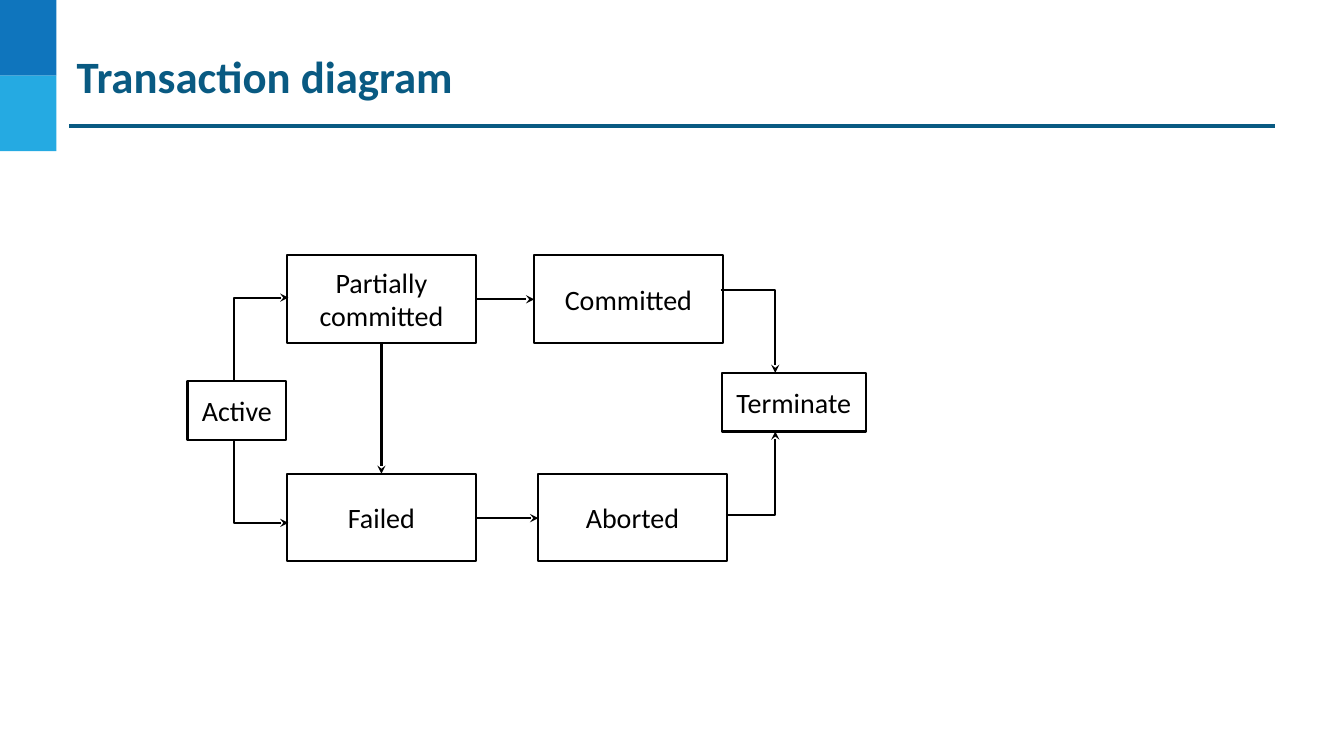
from dataclasses import dataclass

from lxml import etree
from pptx import Presentation
from pptx.dml.color import RGBColor
from pptx.enum.shapes import MSO_CONNECTOR, MSO_SHAPE
from pptx.enum.text import MSO_ANCHOR, PP_ALIGN
from pptx.oxml.ns import qn
from pptx.util import Pt

RECTANGLE = MSO_SHAPE.RECTANGLE
STRAIGHT = MSO_CONNECTOR.STRAIGHT
CENTER = PP_ALIGN.CENTER
LEFT = PP_ALIGN.LEFT
MIDDLE = MSO_ANCHOR.MIDDLE
TITLE_ONLY = 5


@dataclass(frozen=True)
class Theme:
    font: str = "Calibri"
    title_size: int = 32
    state_size: int = 20
    title: RGBColor = RGBColor(0x09, 0x5A, 0x82)
    dark_band: RGBColor = RGBColor(0x0F, 0x75, 0xBD)
    light_band: RGBColor = RGBColor(0x25, 0xAA, 0xE2)
    ink: RGBColor = RGBColor(0, 0, 0)
    paper: RGBColor = RGBColor(0xFF, 0xFF, 0xFF)
    rule_width: float = 2.25
    diagram_width: float = 1.5


THEME = Theme()

STATE_WIDTH, STATE_HEIGHT = 134.6, 62.6
SMALL_HEIGHT = 41.8
TOP_ROW, BOTTOM_ROW = 182.2, 338.4
FIRST_COLUMN = 205.2
COMMITTED_LEFT, ABORTED_LEFT = 381.6, 384.5
ACTIVE_TOP, TERMINATE_TOP = 272.2, 266.4
ACTIVE_AXIS, TERMINATE_AXIS = 167, 553.8

STATES = [
    ("Partially committed", FIRST_COLUMN, TOP_ROW, STATE_WIDTH, STATE_HEIGHT),
    ("Committed", COMMITTED_LEFT, TOP_ROW, STATE_WIDTH, STATE_HEIGHT),
    ("Failed", FIRST_COLUMN, BOTTOM_ROW, STATE_WIDTH, STATE_HEIGHT),
    ("Aborted", ABORTED_LEFT, BOTTOM_ROW, STATE_WIDTH, STATE_HEIGHT),
    ("Active", 133.9, ACTIVE_TOP, 70.6, SMALL_HEIGHT),
    ("Terminate", 515.5, TERMINATE_TOP, 103, SMALL_HEIGHT),
]

FIRST_RIGHT = FIRST_COLUMN + STATE_WIDTH
FIRST_AXIS = FIRST_COLUMN + STATE_WIDTH / 2

STRAIGHT_ARROWS = [
    ((FIRST_RIGHT, 213.8), (COMMITTED_LEFT, 213.8)),
    ((FIRST_RIGHT, 370.1), (ABORTED_LEFT, 370.1)),
    ((FIRST_AXIS, TOP_ROW + STATE_HEIGHT), (FIRST_AXIS, BOTTOM_ROW)),
]

BENT_ARROWS = [
    ((ACTIVE_AXIS, ACTIVE_TOP), (ACTIVE_AXIS, 212.6), (206, 212.6)),
    ((ACTIVE_AXIS, ACTIVE_TOP + SMALL_HEIGHT), (ACTIVE_AXIS, 373.5), (206, 373.5)),
    ((514.8, 207.2), (TERMINATE_AXIS, 207.2), (TERMINATE_AXIS, TERMINATE_TOP)),
    ((518.4, 367.9), (TERMINATE_AXIS, 367.9),
     (TERMINATE_AXIS, TERMINATE_TOP + SMALL_HEIGHT)),
]


def set_margins(frame, margin):
    frame.margin_left = frame.margin_right = Pt(margin)
    frame.margin_top = frame.margin_bottom = Pt(margin)


def style_text(frame, size, color, align, bold=False):
    para = frame.paragraphs[0]
    para.alignment = align
    para.font.name = THEME.font
    para.font.size = Pt(size)
    para.font.bold = bold
    para.font.color.rgb = color


def style_line(line, color, width):
    line.color.rgb = color
    line.width = Pt(width)


def add_arrowhead(shape):
    outline = shape.element.spPr.find(qn("a:ln"))
    etree.SubElement(outline, qn("a:tailEnd"), type="stealth")


def add_title(page, text):
    title = page.shapes.title
    title.left, title.top = Pt(53.3), Pt(33.1)
    title.width, title.height = Pt(861.8), Pt(41.8)
    frame = title.text_frame
    frame.text = text
    frame.word_wrap = True
    frame.vertical_anchor = MIDDLE
    set_margins(frame, 1.44)
    style_text(frame, THEME.title_size, THEME.title, LEFT, bold=True)


def add_rectangle(page, left, top, width, height, fill):
    box = page.shapes.add_shape(RECTANGLE, Pt(left), Pt(top), Pt(width), Pt(height))
    box.shadow.inherit = False
    box.fill.solid()
    box.fill.fore_color.rgb = fill
    box.line.fill.background()
    return box


def add_state(page, name, left, top, width, height):
    box = add_rectangle(page, left, top, width, height, THEME.paper)
    style_line(box.line, THEME.ink, THEME.diagram_width)
    frame = box.text_frame
    frame.text = name
    frame.word_wrap = True
    frame.vertical_anchor = MIDDLE
    set_margins(frame, 7.2)
    style_text(frame, THEME.state_size, THEME.ink, CENTER)


def add_straight_line(page, start, end, color, width):
    line = page.shapes.add_connector(STRAIGHT, *(Pt(value) for value in start + end))
    style_line(line.line, color, width)
    etree.SubElement(line.element.spPr, qn("a:effectLst"))
    return line


def add_bent_arrow(page, start, corner, end):
    builder = page.shapes.build_freeform(Pt(start[0]), Pt(start[1]))
    builder.add_line_segments([(Pt(x), Pt(y)) for x, y in (corner, end)], close=False)
    arrow = builder.convert_to_shape()
    arrow.shadow.inherit = False
    arrow.fill.background()
    style_line(arrow.line, THEME.ink, THEME.diagram_width)
    add_arrowhead(arrow)


def main():
    deck = Presentation()
    deck.slide_width, deck.slide_height = Pt(960), Pt(540)
    page = deck.slides.add_slide(deck.slide_layouts[TITLE_ONLY])

    for index, color in enumerate((THEME.dark_band, THEME.light_band)):
        add_rectangle(page, 0, index * 54, 40.3, 54, color)
    add_straight_line(page, (49.3, 90), (910.8, 90), THEME.title, THEME.rule_width)
    add_title(page, "Transaction diagram")

    for state in STATES:
        add_state(page, *state)
    for points in BENT_ARROWS:
        add_bent_arrow(page, *points)
    for start, end in STRAIGHT_ARROWS:
        arrow = add_straight_line(page, start, end, THEME.ink, THEME.diagram_width)
        add_arrowhead(arrow)

    deck.save("out.pptx")


if __name__ == "__main__":
    main()
